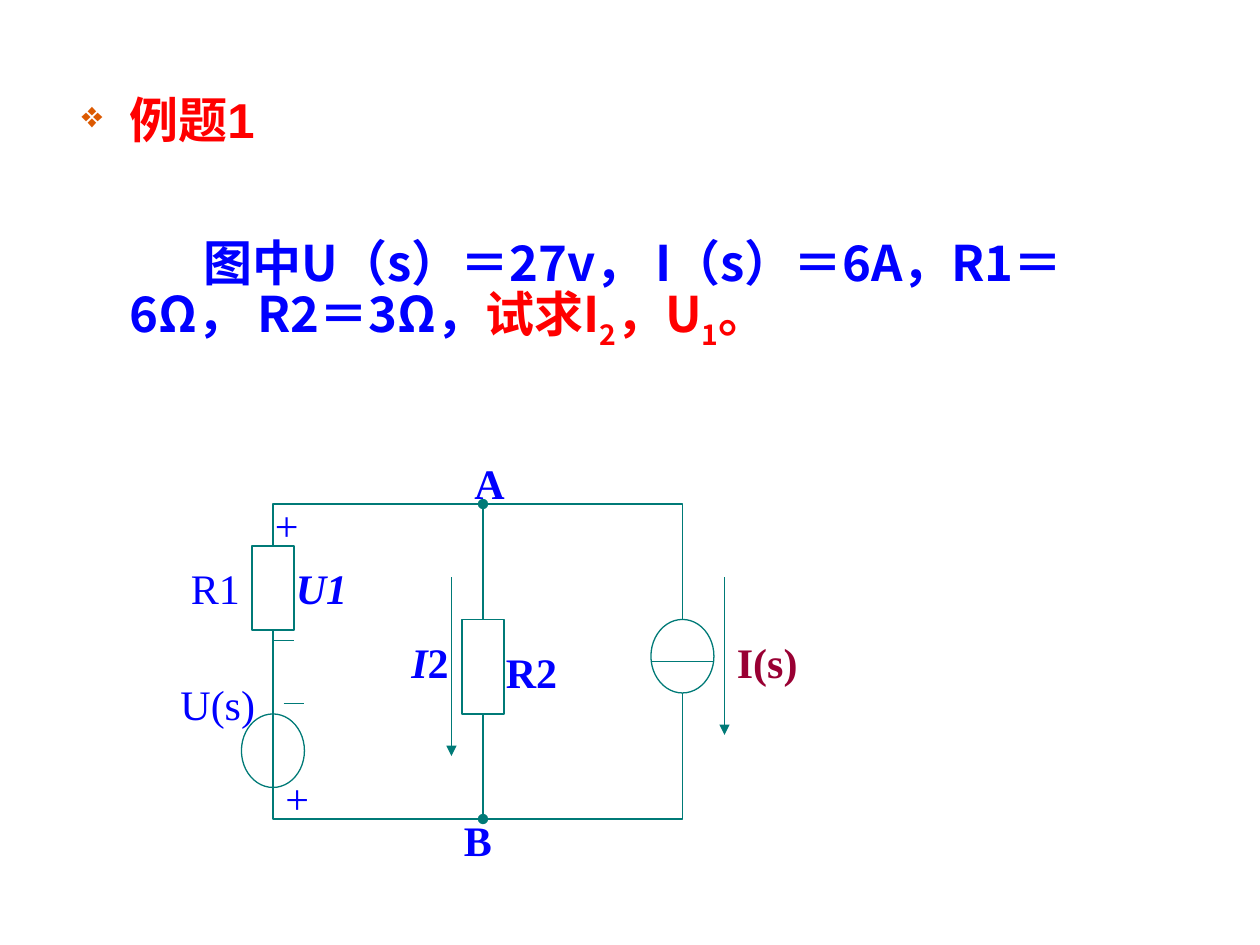
from lxml import etree
from pptx import Presentation, util as u
from pptx.dml import color
from pptx.enum import shapes, text
from pptx.oxml import ns

CELL = u.Inches(1) // 12
TEAL, BLUE, RED, MAROON, WHITE = "007A77", "0000FF", "FF0000", "990033", "FFFFFF"
SERIF, SANS = "Times New Roman", "Noto Sans CJK SC"


def rgb(value):
    """Turn a hex string into a colour."""
    return color.RGBColor.from_string(value)


def grid(*cells):
    """Turn grid steps into lengths."""
    return [u.Emu(round(c * CELL)) for c in cells]


def sub(parent, tag, **attrs):
    """Append a DrawingML element."""
    return etree.SubElement(parent, ns.qn("a:" + tag), attrs)


def add_box(s, kind, col, row, cols, rows, fill=None):
    """Draw one outlined circuit part."""
    sp = s.shapes.add_shape(kind, *grid(col, row, cols, rows))
    sp.shadow.inherit = False
    if fill:
        sp.fill.solid()
        sp.fill.fore_color.rgb = rgb(fill)
    else:
        sp.fill.background()
    sp.line.color.rgb = rgb(TEAL)
    sp.line.width = u.Pt(0.75)


def add_line(s, x1, y1, x2, y2, width=0.75, head=None, tail=None):
    """Draw a straight line with optional end marks."""
    sp = s.shapes.add_connector(shapes.MSO_CONNECTOR.STRAIGHT, *grid(x1, y1, x2, y2))
    sp.line.color.rgb = rgb(TEAL)
    sp.line.width = u.Pt(width)
    ln = sp.line._get_or_add_ln()
    for tag, mark in (("headEnd", head), ("tailEnd", tail)):
        if mark:
            sub(ln, tag, type=mark)
    sub(sp._element.spPr, "effectLst")


def set_font(font, name, size, hex_color, bold=False, italic=False):
    """Set the font of a paragraph."""
    font.name, font.size = name, u.Pt(size)
    font.bold, font.italic = bold, italic
    font.color.rgb = rgb(hex_color)


def add_label(s, col, row, words, hex_color=BLUE, bold=False, italic=False):
    """Write one circuit label; words after a bar stay upright."""
    tf = s.shapes.add_textbox(*grid(col, row, 10, 6)).text_frame
    tf.word_wrap = True
    p = tf.paragraphs[0]
    slanted, *upright = words.split("|")
    p.add_run().text = slanted
    for part in upright:
        r = p.add_run()
        r.text = part
        r.font.italic = False
    set_font(p.font, SERIF, 24, hex_color, bold, italic)


def add_problem(s, prs):
    """Write the bulleted heading and the question."""
    w, h = prs.slide_width, prs.slide_height
    box = s.shapes.add_textbox(round(w * 0.055), round(h * 0.087), round(w * 0.85), round(h * 0.3))
    tf = box.text_frame
    tf.word_wrap = True
    tf.vertical_anchor = text.MSO_ANCHOR.TOP
    head, body = tf.paragraphs[0], tf.add_paragraph()
    for p, indent in ((head, -0.38), (body, 0.59)):
        p.line_spacing = u.Pt(34)
        pPr = p._p.get_or_add_pPr()
        pPr.set("marL", str(u.Inches(0.38)))
        pPr.set("indent", str(u.Inches(indent)))
    body.space_before = u.Pt(48)

    pPr = head._p.pPr
    sub(sub(pPr, "buClr"), "srgbClr", val="DC5900")
    sub(pPr, "buSzPct", val="75000")
    sub(pPr, "buChar", char="❖")
    head.add_run().text = "例题1"
    set_font(head.font, "Arial", 28, RED, bold=True)

    for words, hex_color, baseline in (
        ("图中U（s）＝27v， I（s）＝6A，R1＝6Ω， R2＝3Ω，", BLUE, 0),
        ("试求I", RED, 0), ("2", RED, -25000), ("，U", RED, 0),
        ("1", RED, -25000), ("。", RED, 0),
    ):
        r = body.add_run()
        r.text = words
        r.font.color.rgb = rgb(hex_color)
        if baseline:
            r._r.get_or_add_rPr().set("baseline", str(baseline))
    set_font(body.font, SANS, 28, BLUE, bold=True)
    for p in (head, body):
        sub(p._p.pPr.find(ns.qn("a:defRPr")), "ea", typeface=SANS)


def add_circuit(s):
    """Draw the wires, resistors, sources and current arrows."""
    rect, oval = shapes.MSO_SHAPE.RECTANGLE, shapes.MSO_SHAPE.OVAL
    add_line(s, 46, 48, 46, 78, width=1.5, head="oval", tail="oval")
    add_box(s, rect, 26, 48, 39, 30)
    add_box(s, rect, 44, 59, 4, 9, WHITE)
    add_box(s, rect, 24, 52, 4, 8, WHITE)
    add_box(s, oval, 23, 68, 6, 7)
    add_box(s, oval, 62, 59, 6, 7, WHITE)
    add_line(s, 62, 63, 68, 63)
    add_line(s, 43, 55, 43, 72, tail="triangle")
    add_line(s, 69, 55, 69, 70, tail="triangle")
    add_line(s, 27, 67, 29, 67)
    add_line(s, 26, 61, 28, 61)


def main():
    """Build the slide and save it."""
    prs = Presentation()
    prs.slide_width, prs.slide_height = u.Inches(10), u.Inches(7.5)
    s = prs.slides.add_slide(prs.slide_layouts[6])
    add_problem(s, prs)
    add_circuit(s)
    for col, row, words in ((17, 53, "R1"), (16, 64, "U(s)"), (26, 73, "+"), (25, 47, "+")):
        add_label(s, col, row, words)
    for col, row, words in ((47, 61, "R2"), (43, 77, "B"), (44, 43, "A")):
        add_label(s, col, row, words, bold=True)
    add_label(s, 69, 60, "I(s)", MAROON, bold=True)
    add_label(s, 38, 60, "I|2", bold=True, italic=True)
    add_label(s, 27, 53, "U1", bold=True, italic=True)
    prs.save("out.pptx")


if __name__ == "__main__":
    main()
